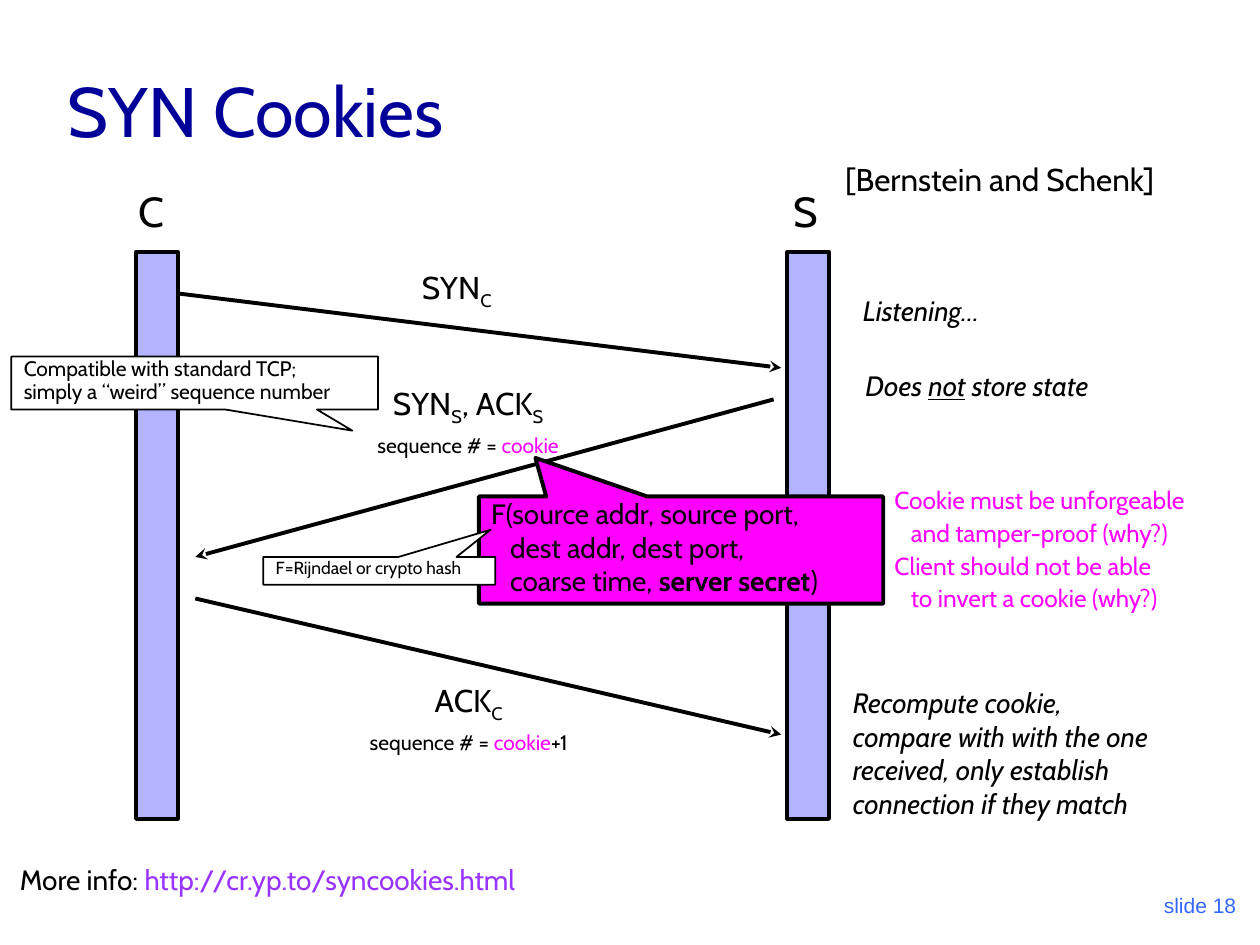
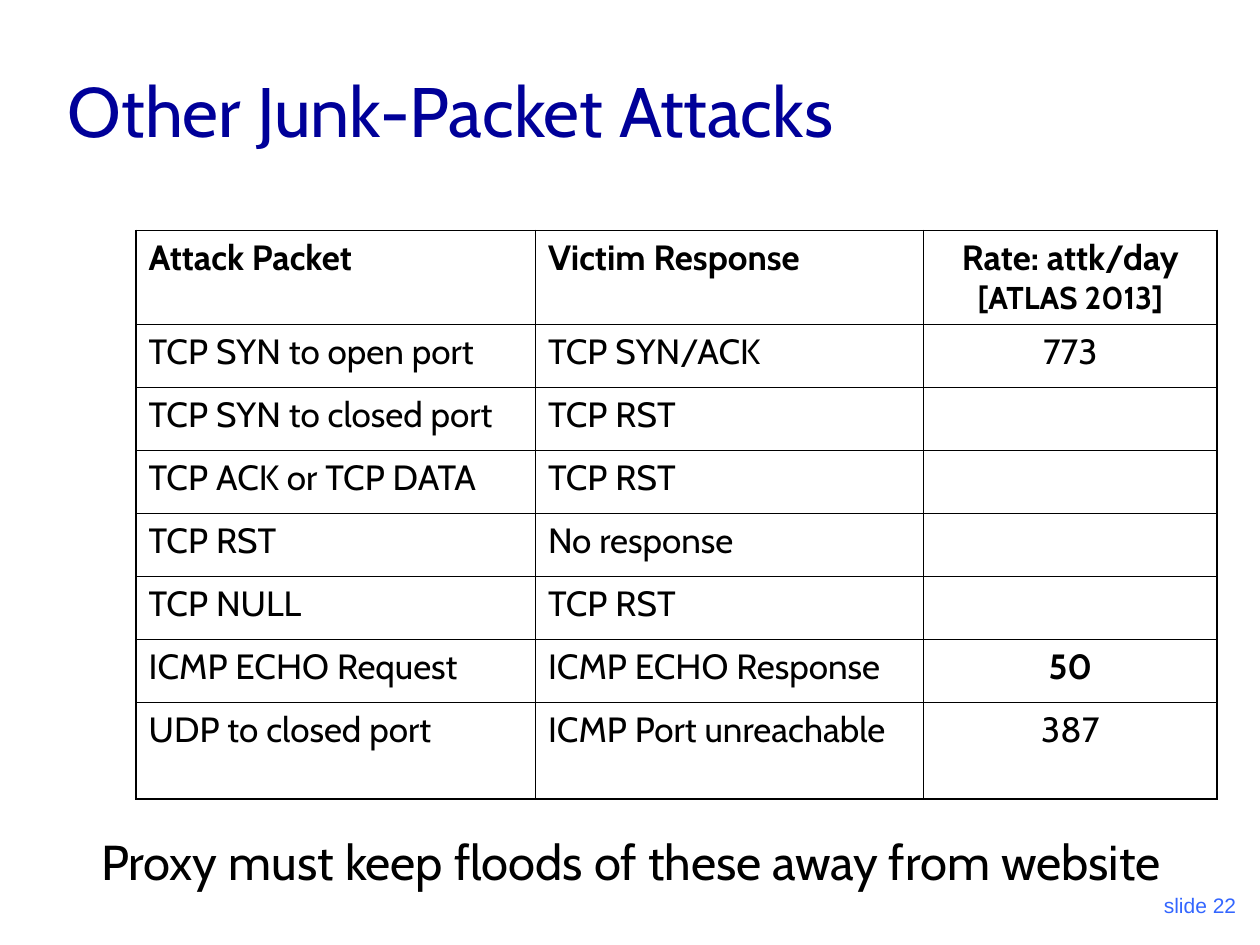
from lxml import etree
from pptx import Presentation
from pptx.dml.color import RGBColor
from pptx.enum.shapes import MSO_CONNECTOR, MSO_SHAPE
from pptx.enum.text import MSO_ANCHOR, MSO_AUTO_SIZE, PP_ALIGN
from pptx.oxml.ns import qn
from pptx.util import Inches, Pt

LEFT, CENTER, RIGHT = PP_ALIGN.LEFT, PP_ALIGN.CENTER, PP_ALIGN.RIGHT
TOP, BOTTOM = MSO_ANCHOR.TOP, MSO_ANCHOR.BOTTOM
RECTANGLE, CALLOUT = MSO_SHAPE.RECTANGLE, MSO_SHAPE.RECTANGULAR_CALLOUT
STRAIGHT = MSO_CONNECTOR.STRAIGHT
GROW, FIXED = MSO_AUTO_SIZE.SHAPE_TO_FIT_TEXT, MSO_AUTO_SIZE.NONE

COLORS = {
    "title": "000099", "text": "000000", "page": "FFFFFF", "number": "3366FF",
    "bar": "B3B3FF", "cookie": "FF00FF", "link": "9933FF",
}
FONT, NUMBER_FONT = "Cabin", "Arial"

# Run formats
SUB = {"baseline": -25000}
SMALL = {"size": 12}
COOKIE = {"size": 12, "color": "cookie"}
BOLD = {"bold": True}

# Slide 1: timeline bars, messages, notes
BAR_LEFTS = (1.08, 6.25)
BAR_TOP, BAR_WIDTH, BAR_HEIGHT = 2, 0.33, 4.5
MESSAGES = [
    ((1.42, 2.33), (6.2, 2.92)),
    ((6.14, 3.17), (1.55, 4.42)),
    ((1.55, 4.75), (6.2, 5.83)),
]
# Each line of a note is a list of (text, run format) pairs or a plain string.
NOTES = [
    {"at": (6.61, 1.22, 2.91, 0.4), "fill": "page", "size": 18,
     "lines": ["[Bernstein and Schenk]"]},
    {"at": (1, 1.42, 0.41, 0.5), "size": 24, "lines": ["C"]},
    {"at": (6.2, 1.42, 0.38, 0.5), "size": 24, "lines": ["S"]},
    {"at": (3.25, 2.08, 0.76, 0.44), "size": 18,
     "lines": [[("SYN", {}), ("C", SUB)]]},
    {"at": (6.75, 2.28, 1.25, 0.37), "italic": True, "lines": ["Listening…"]},
    {"at": (6.77, 2.88, 2.15, 0.37), "italic": True,
     "lines": [[("Does ", {}), ("not", {"underline": True}), (" store state", {})]]},
    {"at": (3.8, 3.94, 3.21, 0.85), "fill": "cookie", "line": 2.25,
     "pointer": (-0.36, -0.86), "spacing": 0.8, "before": 4,
     "indents": (0, 0.15, 0.15),
     "lines": ["F(source addr, source port,", "dest addr, dest port,",
               [("coarse time, ", {}), ("server secret", BOLD), (")", {})]]},
    {"at": (2.82, 3, 1.79, 0.69), "size": 18, "align": CENTER, "before": 3,
     "lines": [[("SYN", {}), ("S", SUB), (", ACK", {}), ("S", SUB)],
               [("sequence # = ", SMALL), ("cookie", COOKIE)]]},
    {"at": (7, 3.83, 2.85, 1.09), "size": 14, "color": "cookie",
     "spacing": 0.9, "before": 3.5, "indents": (0, 0.13, 0, 0.13),
     "lines": ["Cookie must be unforgeable", "and tamper-proof (why?)",
               "Client should not be able", "to invert a cookie (why?)"]},
    {"at": (2.09, 4.42, 1.84, 0.22), "fill": "page", "line": 1,
     "pointer": (0.48, -1.48), "size": 10, "spacing": 0.7,
     "lines": ["F=Rijndael or crypto hash"]},
    {"at": (6.67, 5.44, 2.82, 1.12), "italic": True, "spacing": 0.8, "before": 4,
     "lines": ["Recompute cookie,", "compare with with the one",
               "received, only establish", "connection if they match"]},
    {"at": (2.73, 5.36, 1.98, 0.93), "size": 18, "align": CENTER, "before": 3,
     "lines": [[("ACK", {}), ("C", SUB)],
               [("sequence # = ", SMALL), ("cookie", COOKIE), ("+1", SMALL)]]},
    {"at": (0.09, 2.83, 2.91, 0.42), "fill": "page", "line": 1,
     "pointer": (0.43, 0.9), "size": 12, "spacing": 0.7, "before": 3,
     "lines": ["Compatible with standard TCP;", "simply a “weird” sequence number"]},
    {"at": (0.06, 6.8, 4.59, 0.37),
     "lines": [[("More info: ", {}),
                ("http://cr.yp.to/syncookies.html", {"color": "link"})]]},
]

# Slide 2: table of attacks and closing line
ATTACKS = [
    ("Attack Packet", "Victim Response", "Rate: attk/day"),
    ("TCP SYN to open port", "TCP SYN/ACK", "773"),
    ("TCP SYN to closed port", "TCP RST", ""),
    ("TCP ACK or TCP DATA", "TCP RST", ""),
    ("TCP RST", "No response", ""),
    ("TCP NULL", "TCP RST", ""),
    ("ICMP ECHO Request", "ICMP ECHO Response", "50"),
    ("UDP to closed port", "ICMP Port unreachable", "387"),
]
RATE_SOURCE = "[ATLAS 2013]"
BOLD_RATE = "50"
COLUMN_WIDTHS = (3.17, 3.08, 2.33)
ROW_HEIGHTS = [0.73] + [0.5] * 6 + [0.77]
TABLE_AT = (1.08, 1.83, sum(COLUMN_WIDTHS), sum(ROW_HEIGHTS))
OUTER_LINE, INNER_LINE = 1.08, 0.45
CLOSING = {"at": (0.17, 6.6, 9.67, 0.57), "size": 28, "align": CENTER,
           "wrap": True, "spacing": 0.9,
           "lines": ["Proxy must keep floods of these away from website"]}


def rgb(name):
    return RGBColor.from_string(COLORS[name])


def inches(values):
    return [Inches(value) for value in values]


def add_span(para, text, size=16, color="text", font=FONT, baseline=None, **styles):
    span = para.add_run()
    span.text = text
    span.font.color.rgb = rgb(color)
    values = {"name": font, "size": Pt(size), **styles}
    for name, value in values.items():
        setattr(span.font, name, value)
    if baseline:
        span.font._element.set("baseline", str(baseline))


def add_box(page, kind, at, fill, line):
    box = page.shapes.add_shape(kind, *inches(at))
    box.shadow.inherit = False
    box.fill.solid()
    box.fill.fore_color.rgb = rgb(fill)
    box.line.color.rgb = rgb("text")
    box.line.width = Pt(line)
    return box


def add_note(page, at, lines, fill=None, line=None, pointer=None, align=LEFT,
             anchor=TOP, spacing=1.0, before=0, indents=(), wrap=False, **style):
    """Write lines of text in a plain box, or in a callout if a pointer is given."""
    if pointer:
        box = add_box(page, CALLOUT, at, fill, line)
        for index, value in enumerate(pointer):
            box.adjustments[index] = value
    else:
        box = page.shapes.add_textbox(*inches(at))
        if fill:
            box.fill.solid()
            box.fill.fore_color.rgb = rgb(fill)
    frame = box.text_frame
    frame.word_wrap = wrap
    frame.auto_size = FIXED if wrap else GROW
    frame.vertical_anchor = anchor
    for index, spans in enumerate(lines):
        para = frame.add_paragraph() if index else frame.paragraphs[0]
        para.alignment = align
        para.line_spacing = spacing
        para.space_before = Pt(before if index else 0)
        if indents:
            para._p.get_or_add_pPr().set("marL", str(Inches(indents[index])))
        for text, changes in [(spans, {})] if isinstance(spans, str) else spans:
            add_span(para, text, **{**style, **changes})


def add_message(page, start, end):
    arrow = page.shapes.add_connector(STRAIGHT, *inches(start + end))
    arrow.line.color.rgb = rgb("text")
    arrow.line.width = Pt(2.25)
    etree.SubElement(arrow.line._get_or_add_ln(), qn("a:tailEnd"), type="stealth")
    etree.SubElement(arrow._element.spPr, qn("a:effectLst"))


def set_borders(cell, widths):
    properties = cell._tc.get_or_add_tcPr()
    for index, (side, width) in enumerate(widths.items()):
        border = etree.Element(qn(f"a:ln{side}"), w=str(Pt(width)))
        fill = etree.SubElement(border, qn("a:solidFill"))
        etree.SubElement(fill, qn("a:srgbClr"), val=COLORS["text"])
        properties.insert(index, border)


def add_attack_table(page):
    last_row, last_column = len(ATTACKS) - 1, len(COLUMN_WIDTHS) - 1
    table = page.shapes.add_table(last_row + 1, last_column + 1, *inches(TABLE_AT)).table
    table.first_row = table.horz_banding = False
    for column, width in zip(table.columns, COLUMN_WIDTHS):
        column.width = Inches(width)
    for row, height in zip(table.rows, ROW_HEIGHTS):
        row.height = Inches(height)
    for r, texts in enumerate(ATTACKS):
        for c, text in enumerate(texts):
            cell = table.cell(r, c)
            cell.fill.background()
            outer = {"L": c == 0, "R": c == last_column, "T": r == 0, "B": r == last_row}
            set_borders(cell, {side: OUTER_LINE if edge else INNER_LINE
                               for side, edge in outer.items()})
            para = cell.text_frame.paragraphs[0]
            para.alignment = CENTER if c == last_column else LEFT
            if text:
                add_span(para, text, size=20, bold=r == 0 or text == BOLD_RATE)
            if r == 0 and c == last_column:
                para.add_line_break()
                add_span(para, RATE_SOURCE, size=18, bold=True)


def add_page(deck, title, number):
    page = deck.slides.add_slide(deck.slide_layouts[6])
    add_note(page, (0.44, 0.25, 8.5, 1), [title], anchor=BOTTOM, wrap=True,
             size=40, color="title")
    add_note(page, (7.83, 6.83, 2.08, 0.5), [f"slide {number}"], anchor=BOTTOM,
             wrap=True, align=RIGHT, size=12, color="number", font=NUMBER_FONT)
    return page


def main():
    deck = Presentation()
    deck.slide_width, deck.slide_height = Inches(10), Inches(7.5)

    # SYN cookies
    page = add_page(deck, "SYN Cookies", 18)
    for left in BAR_LEFTS:
        add_box(page, RECTANGLE, (left, BAR_TOP, BAR_WIDTH, BAR_HEIGHT), "bar", 2.25)
    for start, end in MESSAGES:
        add_message(page, start, end)
    for note in NOTES:
        add_note(page, **note)

    # Other attacks
    page = add_page(deck, "Other Junk-Packet Attacks", 22)
    add_attack_table(page)
    add_note(page, **CLOSING)

    deck.save("out.pptx")


if __name__ == "__main__":
    main()
